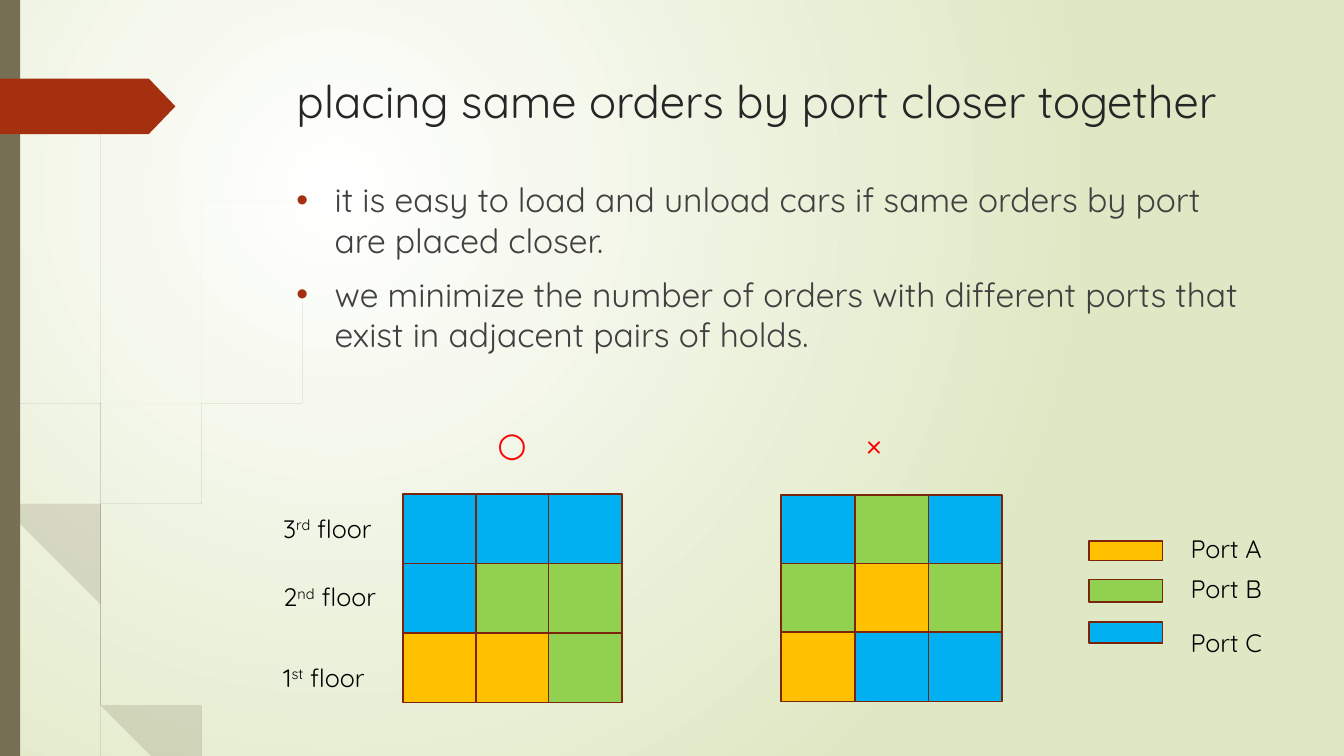
"""Build a slide on placing orders for the same port close together."""
from lxml.etree import SubElement
from pptx import Presentation
from pptx.dml.color import RGBColor
from pptx.enum.shapes import MSO_SHAPE
from pptx.enum.text import MSO_ANCHOR, PP_ALIGN
from pptx.oxml.ns import qn
from pptx.util import Inches, Pt

COLORS = {
    "white": "FFFFFF", "pale": "DFE8C4", "olive": "766F54", "rust": "A53010",
    "title": "262626", "body": "404040", "black": "000000", "red": "FF0000",
    "outline": "7A240C", "A": "FFC000", "B": "92D050", "C": "00B0F0",
}
FAINT_STRANDS = [
    [(0.14, 3.45, 0), (0.17, 3.76, 0.04), (0.58, 5.22, 0.05), (0.84, 5.99, 0.05),
     (1.23, 6.94, 0.05), (1.5, 7.5, 0.05)],
    [(0.11, 3.5, 0), (0.28, 4.7, 0.03), (0.65, 6.21, 0.05), (0.92, 6.93, 0.04),
     (1.01, 7.14, 0.05), (1.14, 7.5, 0.1)],
    [(3.12, 1.53, 0), (2.68, 1.97, 0.01), (2.28, 2.44, 0.01), (1.58, 3.48, 0.02),
     (1.07, 4.61, 0.03), (0.85, 5.84, 0.03), (0.87, 6.46, 0.04), (1.05, 7.11, 0)],
]
DARK_STRANDS = [
    [(0.03, 0, 0.01), (0.07, 1.1, 0.01), (0.17, 2.33, 0.02), (0.33, 3.55, 0.03),
     (0.56, 4.77, 0.04), (0.68, 5.57, 0.04), (0.93, 6.59, 0.05), (1.16, 7.19, 0.06),
     (1.27, 7.5, 0.09)],
    [(0.7, 1.41, 0), (0.62, 1.93, 0.01), (0.56, 2.45, 0.02), (0.52, 3.49, 0.02),
     (0.55, 4.49, 0.03), (0.64, 5.05, 0.04), (0.88, 5.92, 0.05), (1.06, 6.45, 0.05),
     (1.32, 7.08, 0.05), (1.52, 7.5, 0.05)],
    [(2.6, 3.44, 0), (2.31, 3.73, 0.01), (2.04, 4.05, 0.01), (1.56, 4.74, 0.02),
     (1.22, 5.51, 0.03), (1.06, 6.31, 0.05), (1.1, 6.91, 0.04), (1.22, 7.19, 0)],
]
BULLETS = [
    "it is easy to load and unload cars if same orders by port are placed closer.",
    "we minimize the number of orders with different ports that exist in adjacent pairs of holds.",
]
HOLDS = [
    (4, 4.9, 0.72, 0.69, ("CCC", "CBB", "AAB")),
    (7.75, 4.91, 0.73, 0.68, ("CBC", "BAB", "ACC")),
]
LEGEND = [("A", 5.37, 0.19, 5.24), ("B", 5.75, 0.22, 5.64), ("C", 6.17, 0.21, 6.17)]
FLOORS = [("3", "rd", 5.04), ("2", "nd", 5.72), ("1", "st", 6.52)]
MARKS = [("○", 5.08), ("×", 8.67)]


def smooth_curve(points, steps=8):
    """Return points along a Catmull-Rom curve through the given points."""
    padded = [points[0], *points, points[-1]]
    curve = []
    for before, start, end, after in zip(padded, padded[1:], padded[2:], padded[3:]):
        for step in range(steps):
            t = step / steps
            curve.append([
                0.5 * (2 * b + (c - a) * t + (2 * a - 5 * b + 4 * c - d) * t ** 2
                       + (3 * b - a - 3 * c + d) * t ** 3)
                for a, b, c, d in zip(before, start, end, after)
            ])
    return [*curve, points[-1]]


class PortSlide:
    """Hold the slide and its style, with a method per kind of element."""

    font = "Quicksand"

    def __init__(self, presentation):
        """Add a title-only slide."""
        self.slide = presentation.slides.add_slide(presentation.slide_layouts[5])
        self.shapes = self.slide.shapes

    def color(self, name):
        """Return a named colour."""
        return RGBColor.from_string(COLORS[name])

    def background(self):
        """Fill the background with a radial gradient."""
        fill = self.slide.background.fill
        fill.gradient()
        for stop, name in zip(fill.gradient_stops, ("white", "pale")):
            stop.color.rgb = self.color(name)
        gradient = self.slide.element.find(".//" + qn("a:gradFill"))
        gradient.remove(gradient.find(qn("a:lin")))
        circle = SubElement(gradient, qn("a:path"), path="circle")
        SubElement(circle, qn("a:fillToRect"), l="50000", t="50000", r="100000", b="100000")

    def paint(self, shape, fill, outlined=False):
        """Give a shape its fill and outline."""
        shape.shadow.inherit = False
        shape.fill.solid()
        shape.fill.fore_color.rgb = self.color(fill)
        if outlined:
            shape.line.color.rgb = self.color("outline")
            shape.line.width = Pt(1.25)
        else:
            shape.line.fill.background()

    def box(self, kind, left, top, width, height, fill, outlined=False):
        """Add a preset shape."""
        shape = self.shapes.add_shape(
            kind, Inches(left), Inches(top), Inches(width), Inches(height))
        self.paint(shape, fill, outlined)
        return shape

    def strand(self, points, opacity=100):
        """Add a tapering blade from left edge points and widths."""
        curve = smooth_curve(points)
        outline = [(x, y) for x, y, _ in curve]
        outline += [(x + width, y) for x, y, width in reversed(curve)]
        builder = self.shapes.build_freeform(*outline[0], scale=Inches(1))
        builder.add_line_segments(outline[1:])
        shape = builder.convert_to_shape()
        self.paint(shape, "olive")
        if opacity < 100:
            tint = shape.element.spPr.find(qn("a:solidFill"))[0]
            SubElement(tint, qn("a:alpha"), val=str(opacity * 1000))

    def style(self, paragraph, size, color):
        """Format every run of a paragraph."""
        for run in paragraph.runs:
            run.font.name = self.font
            run.font.size = Pt(size)
            run.font.color.rgb = self.color(color)

    def title(self, text):
        """Place and format the title."""
        title = self.shapes.title
        title.left, title.top, title.width, title.height = map(Inches, (2.84, 0.68, 9.75, 1.4))
        frame = title.text_frame
        frame.text = text
        frame.vertical_anchor = MSO_ANCHOR.TOP
        frame.paragraphs[0].alignment = PP_ALIGN.LEFT
        self.style(frame.paragraphs[0], 32.4, "title")

    def text(self, text, left, top, width, height=0.4, size=18, color="black"):
        """Add a text box and return its frame."""
        frame = self.shapes.add_textbox(
            Inches(left), Inches(top), Inches(width), Inches(height)).text_frame
        frame.word_wrap = True
        frame.text = text
        for paragraph in frame.paragraphs:
            self.style(paragraph, size, color)
        return frame

    def bullets(self, items):
        """Add the bulleted body text."""
        frame = self.text("\n".join(items), 2.84, 1.73, 9.75, 2, 24, "body")
        for paragraph in frame.paragraphs:
            paragraph.space_before = Pt(10)
            properties = paragraph._p.get_or_add_pPr()
            properties.set("marL", str(Inches(0.38)))
            properties.set("indent", str(-Inches(0.38)))
            bullet_color = SubElement(properties, qn("a:buClr"))
            SubElement(bullet_color, qn("a:srgbClr"), val=COLORS["rust"])
            SubElement(properties, qn("a:buFont"), typeface="Arial")
            SubElement(properties, qn("a:buChar"), char="•")

    def floor(self, number, suffix, top):
        """Add a floor label with a raised ordinal suffix."""
        frame = self.text(number, 2.71, top, 1.18)
        paragraph = frame.paragraphs[0]
        raised = paragraph.add_run()
        raised.text = suffix
        paragraph.add_run().text = " floor"
        self.style(paragraph, 18, "black")
        raised.font._element.set("baseline", "30000")

    def hold(self, left, top, column_step, row_step, rows):
        """Add a grid of cells coloured by port."""
        for row, ports in enumerate(rows):
            for column, port in enumerate(ports):
                self.box(MSO_SHAPE.RECTANGLE, left + column * column_step,
                         top + row * row_step, 0.73, 0.69, port, True)


def main():
    """Build and save the presentation."""
    presentation = Presentation()
    presentation.slide_width, presentation.slide_height = Inches(13.33), Inches(7.5)
    page = PortSlide(presentation)
    page.background()
    for points in FAINT_STRANDS:
        page.strand(points, 20)
    for points in DARK_STRANDS:
        page.strand(points)
    page.box(MSO_SHAPE.RECTANGLE, 0, 0, 0.2, 7.5, "olive")
    tag = page.box(MSO_SHAPE.PENTAGON, 0, 0.78, 1.74, 0.55, "rust")
    tag.adjustments[0] = 0.48
    page.title("placing same orders by port closer together")
    page.bullets(BULLETS)
    for mark, center in MARKS:
        frame = page.text(mark, center - 0.3, 4.15, 0.6, 0.5, 24, "red")
        frame.paragraphs[0].alignment = PP_ALIGN.CENTER
    for hold in HOLDS:
        page.hold(*hold)
    for port, top, height, label_top in LEGEND:
        page.box(MSO_SHAPE.RECTANGLE, 10.8, top, 0.73, height, port, True)
        page.text(f"Port {port}", 11.71, label_top, 1.32)
    for floor in FLOORS:
        page.floor(*floor)
    presentation.save("out.pptx")


if __name__ == "__main__":
    main()
